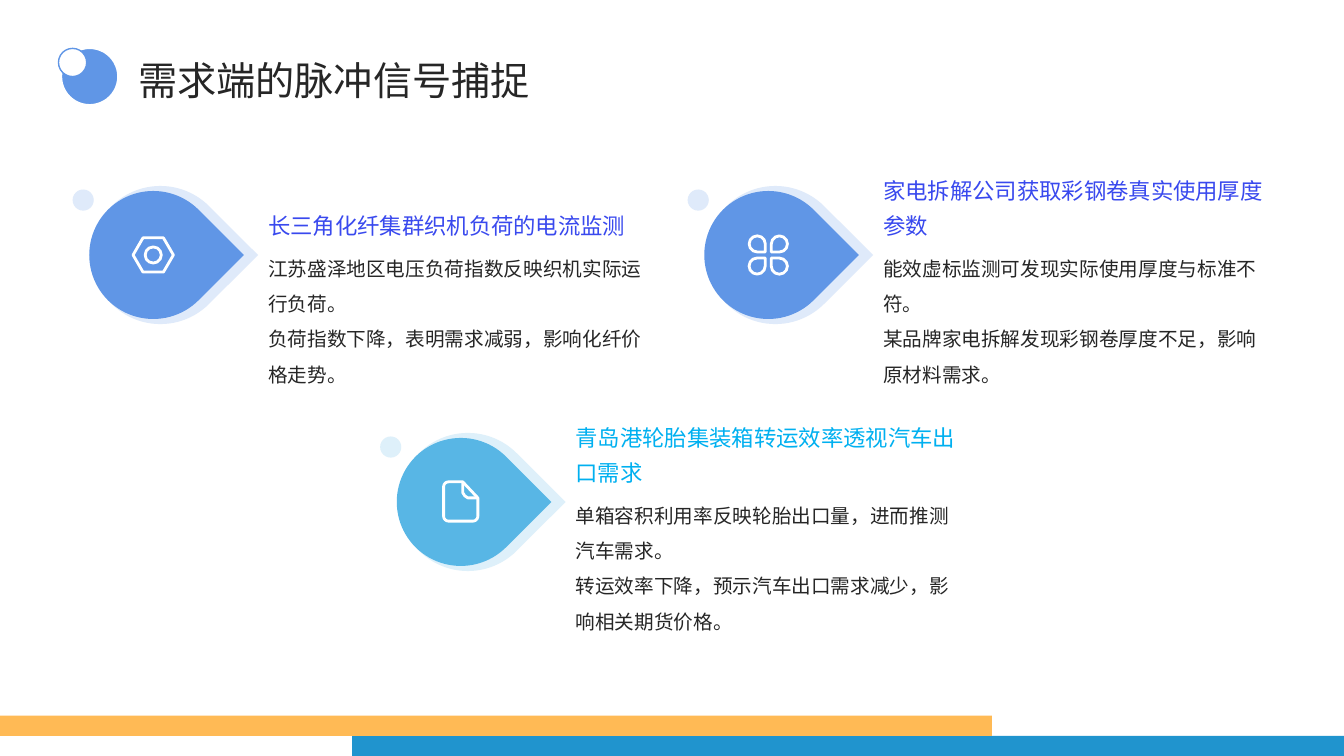
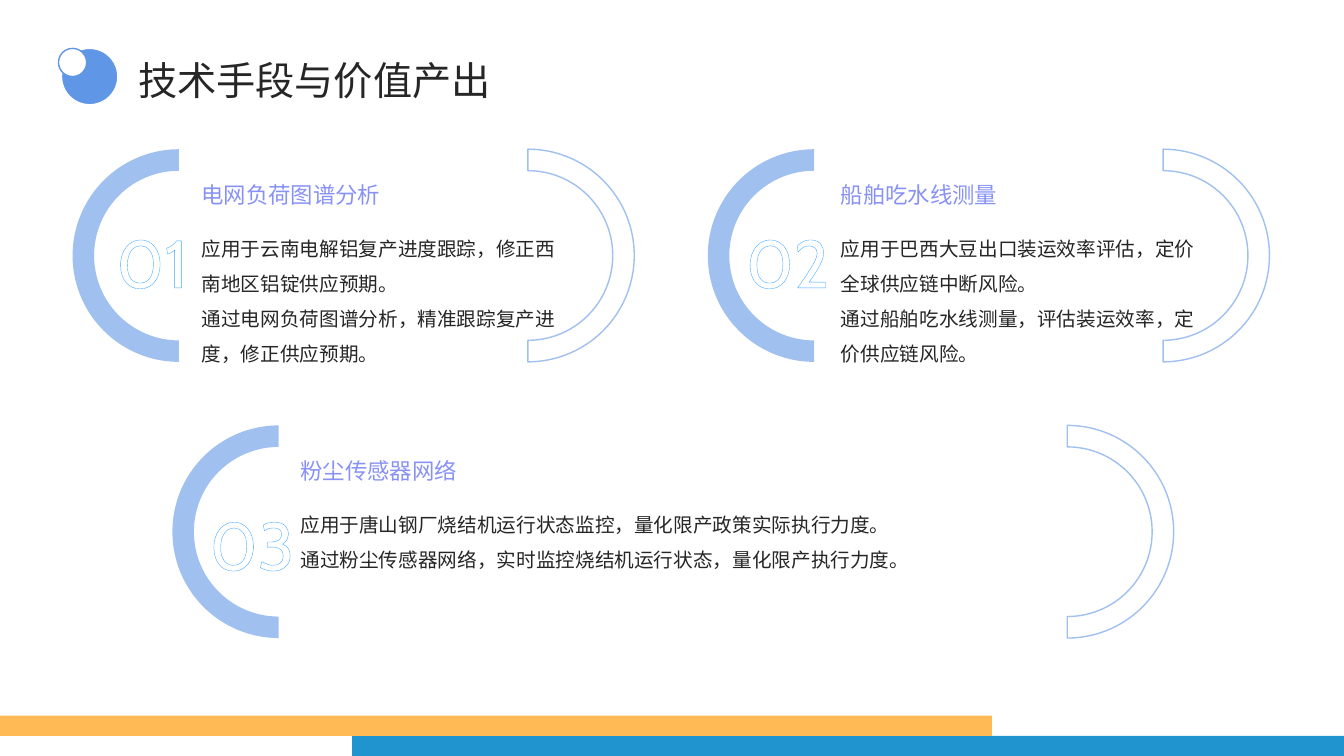
from math import cos, radians, sin

from lxml.etree import SubElement
from pptx import Presentation
from pptx.dml.color import RGBColor
from pptx.enum.shapes import MSO_SHAPE
from pptx.enum.text import MSO_ANCHOR, MSO_AUTO_SIZE, PP_ALIGN
from pptx.oxml.ns import qn
from pptx.util import Inches, Pt

# Colours and fonts
WHITE = RGBColor(0xFF, 0xFF, 0xFF)
INK = RGBColor(0x26, 0x26, 0x26)
BLUE = RGBColor(0x60, 0x96, 0xE6)
PALE_BLUE = RGBColor(0xDF, 0xEA, 0xFA)
SKY = RGBColor(0x58, 0xB6, 0xE5)
PALE_SKY = RGBColor(0xDE, 0xF0, 0xFA)
ARC = RGBColor(0xA0, 0xC0, 0xF0)
INDIGO = RGBColor(0x39, 0x49, 0xEE)
CYAN = RGBColor(0x00, 0xB0, 0xF0)
LILAC = RGBColor(0x88, 0x92, 0xF5)
BAND_BLUE = RGBColor(0x20, 0x94, 0xCE)
BAND_ORANGE = RGBColor(0xFF, 0xBA, 0x55)
CJK = "Noto Sans CJK SC"
DIGITS = "Cabin"

# Slide size and shared text formats
W, H = 13.33, 7.5
BAND_W, BAND_H = 0.738 * W, 0.2
HEAD = {"size": Pt(28), "name": CJK}
CARD_HEAD = {"size": Pt(16), "name": CJK}
BODY = {"size": Pt(14), "name": CJK}
NUMBER = {"size": Pt(48), "name": DIGITS}


def add_shape(s, kind, x, y, w, h, fill=None, line=None, width=1, rot=0):
    sp = s.shapes.add_shape(kind, *map(Inches, (x, y, w, h)))
    sp.shadow.inherit = False
    sp.rotation = rot
    if fill is None:
        sp.fill.background()
    else:
        sp.fill.solid()
        sp.fill.fore_color.rgb = fill
    if line is None:
        sp.line.fill.background()
    else:
        sp.line.color.rgb = line
        sp.line.width = Pt(width)
    return sp


def write(sp, box, text, fmt, color, spacing, anchor=MSO_ANCHOR.MIDDLE,
          align=PP_ALIGN.LEFT):
    sp.left, sp.top, sp.width, sp.height = map(Inches, box)
    tf = sp.text_frame
    for name, value in {"margin_left": 0, "margin_top": 0, "margin_right": 0,
                        "margin_bottom": 0, "word_wrap": True,
                        "auto_size": MSO_AUTO_SIZE.NONE,
                        "vertical_anchor": anchor}.items():
        setattr(tf, name, value)
    p = tf.paragraphs[0]
    p.text = text
    p.alignment, p.line_spacing = align, spacing
    for r in p.runs:
        r.font.color.rgb = color
        for name, value in fmt.items():
            setattr(r.font, name, value)
        SubElement(r.font._element, qn("a:ea"), typeface=fmt["name"])
    return p


prs = Presentation()
prs.slide_width, prs.slide_height = Inches(W), Inches(H)
layout = prs.slide_layouts[5]
slides = [prs.slides.add_slide(layout) for _ in range(2)]

# Bottom bands, moved to the shared layout
for x, row, color in ((W - BAND_W, 1, BAND_BLUE), (0, 2, BAND_ORANGE)):
    band = add_shape(slides[0], MSO_SHAPE.RECTANGLE, x, H - row * BAND_H,
                     BAND_W, BAND_H, color)
    layout.shapes._spTree.append(band._element)

# Titles with their two discs
for s, title in zip(slides, ("需求端的脉冲信号捕捉", "技术手段与价值产出")):
    write(s.shapes.title, (1.37, 0.51, 11.88, 0.51), title, HEAD, INK, 1.1)
    add_shape(s, MSO_SHAPE.OVAL, 0.61, 0.48, 0.56, 0.56, BLUE, WHITE)
    add_shape(s, MSO_SHAPE.OVAL, 0.58, 0.48, 0.28, 0.28, WHITE, BLUE)

# Slide 1: three drop cards, two above and one centred below
s = slides[0]
COL, ROW = 6.1, 2.45
DROP_X, DROP_Y = 1.52, 2.53
drops = [
    (0, 0, "长三角化纤集群织机负荷的电流监测",
     "江苏盛泽地区电压负荷指数反映织机实际运行负荷。\v"
     "负荷指数下降，表明需求减弱，影响化纤价格走势。",
     INDIGO, BLUE, PALE_BLUE),
    (1, 0, "家电拆解公司获取彩钢卷真实使用厚度参数",
     "能效虚标监测可发现实际使用厚度与标准不符。\v"
     "某品牌家电拆解发现彩钢卷厚度不足，影响原材料需求。",
     INDIGO, BLUE, PALE_BLUE),
    (0.5, 1, "青岛港轮胎集装箱转运效率透视汽车出口需求",
     "单箱容积利用率反映轮胎出口量，进而推测汽车需求。\v"
     "转运效率下降，预示汽车出口需求减少，影响相关期货价格。",
     CYAN, SKY, PALE_SKY),
]
centres = []
for col, row, head, body, color, fill, pale in drops:
    cx, cy = DROP_X + col * COL, DROP_Y + row * ROW
    centres.append((cx, cy))
    write(s.shapes.add_textbox(0, 0, 0, 0), (cx + 1.14, cy - 0.1, 3.84, 1.55),
          body, BODY, INK, 1.5, MSO_ANCHOR.TOP)
    write(s.shapes.add_textbox(0, 0, 0, 0), (cx + 1.14, cy - 0.94, 3.84, 0.78),
          head, CARD_HEAD, color, 1.3, MSO_ANCHOR.BOTTOM)
    for dx, size, tone in ((0.07, 1.37, pale), (0, 1.27, fill)):
        add_shape(s, MSO_SHAPE.TEAR, cx + dx - size / 2, cy - size / 2,
                  size, size, tone, rot=45)
    add_shape(s, MSO_SHAPE.OVAL, cx - 0.8, cy - 0.65, 0.21, 0.21, pale)

# Icon: nut
cx, cy = centres[0]
nut = add_shape(s, MSO_SHAPE.HEXAGON, cx - 0.2, cy - 0.17, 0.4, 0.34,
                line=WHITE, width=2)
nut.adjustments[0] = 0.29
add_shape(s, MSO_SHAPE.OVAL, cx - 0.08, cy - 0.08, 0.16, 0.16,
          line=WHITE, width=2)

# Icon: four petals pointing at the centre
cx, cy = centres[1]
for i, (dx, dy) in enumerate(((-1, 1), (-1, -1), (1, -1), (1, 1))):
    add_shape(s, MSO_SHAPE.TEAR, cx + 0.11 * dx - 0.08, cy + 0.11 * dy - 0.08,
              0.16, 0.16, line=WHITE, width=2, rot=90 * i)

# Icon: page with a folded corner
cx, cy = centres[2]
page = [(0.02, -0.2), (0.17, -0.04)]
for x, y, start in ((0.12, 0.14, 0), (-0.12, 0.14, 90), (-0.12, -0.15, 180)):
    page += [(x + 0.05 * cos(radians(start + a)),
              y + 0.05 * sin(radians(start + a))) for a in range(0, 91, 15)]
fold = [(0.02, -0.2), (0.02, -0.09), (0.04, -0.06), (0.07, -0.04),
        (0.17, -0.04)]
for outline, closed in ((page, True), (fold, False)):
    points = [(Inches(cx + x), Inches(cy + y)) for x, y in outline]
    builder = s.shapes.build_freeform(*points[0])
    builder.add_line_segments(points[1:], close=closed)
    sp = builder.convert_to_shape()
    sp.shadow.inherit = False
    sp.fill.background()
    sp.line.color.rgb = WHITE
    sp.line.width = Pt(2)

# Slide 2: three numbered cards between a solid and an outlined arc
s = slides[1]
ARC_SIZE = 2.11
cards = [
    (0.72, 1.48, 3.46, 1.28, 3.58, 0.52, "电网负荷图谱分析",
     "应用于云南电解铝复产进度跟踪，修正西南地区铝锭供应预期。\v"
     "通过电网负荷图谱分析，精准跟踪复产进度，修正供应预期。"),
    (7.02, 1.48, 3.46, 1.32, 3.58, 0.52, "船舶吃水线测量",
     "应用于巴西大豆出口装运效率评估，定价全球供应链中断风险。\v"
     "通过船舶吃水线测量，评估装运效率，定价供应链风险。"),
    (1.71, 4.22, 7.82, 1.27, 8.06, 0.58, "粉尘传感器网络",
     "应用于唐山钢厂烧结机运行状态监控，量化限产政策实际执行力度。\v"
     "通过粉尘传感器网络，实时监控烧结机运行状态，量化限产执行力度。"),
]
for i, (x, y, span, indent, width, drop, head, body) in enumerate(cards, 1):
    for dx, fill, line, rot in ((0, ARC, None, 270), (span, WHITE, ARC, 90)):
        arc = add_shape(s, MSO_SHAPE.BLOCK_ARC, x + dx, y, ARC_SIZE, ARC_SIZE,
                        fill, line, rot=rot)
        arc.adjustments[2] = 0.101
    p = write(s.shapes.add_textbox(0, 0, 0, 0), (x + 0.2, y + drop, 1.18, 0.94),
              f"{i:02}", NUMBER, WHITE, 1.3, align=PP_ALIGN.CENTER)
    # Outlined digits
    rPr = p.runs[0].font._element
    ln = SubElement(rPr, qn("a:ln"), w=str(Pt(1.25)))
    SubElement(SubElement(ln, qn("a:solidFill")), qn("a:srgbClr"), val="40A8FF")
    rPr.insert(0, ln)
    write(s.shapes.add_textbox(0, 0, 0, 0), (x + indent, y + 0.21, width, 0.4),
          head, CARD_HEAD, LILAC, 1.3)
    write(s.shapes.add_textbox(0, 0, 0, 0), (x + indent, y + 0.75, width, 1.19),
          body, BODY, INK, 1.5, MSO_ANCHOR.TOP)

prs.save("out.pptx")
